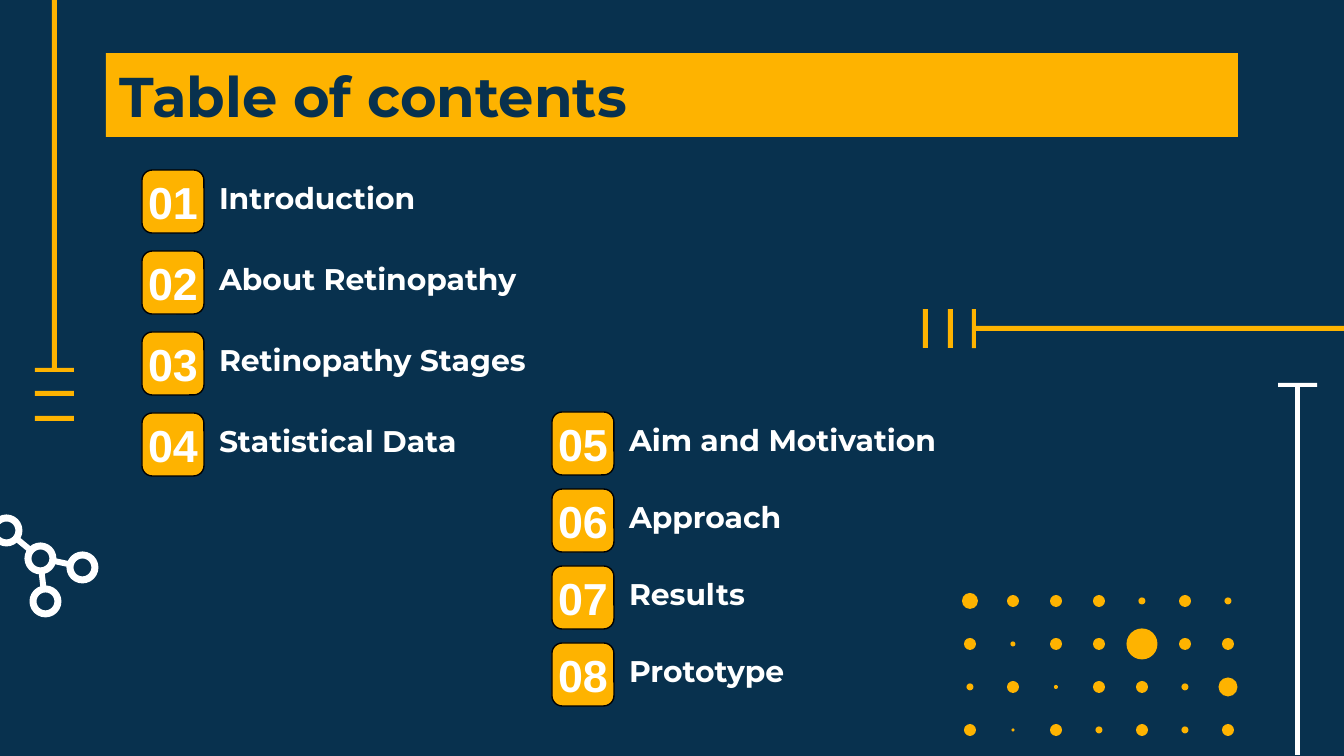
from lxml import etree
from pptx import Presentation
from pptx.dml.color import RGBColor
from pptx.enum.shapes import MSO_CONNECTOR, MSO_SHAPE
from pptx.enum.text import MSO_ANCHOR, MSO_AUTO_SIZE, PP_ALIGN
from pptx.oxml.ns import qn
from pptx.util import Pt

SCALE = 914400 / 134.4  # EMU in one px
RECTANGLE, ROUNDED, OVAL = MSO_SHAPE.RECTANGLE, MSO_SHAPE.ROUNDED_RECTANGLE, MSO_SHAPE.OVAL
STRAIGHT = MSO_CONNECTOR.STRAIGHT
TOP, MIDDLE = MSO_ANCHOR.TOP, MSO_ANCHOR.MIDDLE
LEFT, CENTER = PP_ALIGN.LEFT, PP_ALIGN.CENTER
NO_AUTOFIT = MSO_AUTO_SIZE.NONE

hex_colors = {"navy": "08314E", "amber": "FEB300", "white": "FFFFFF", "black": "000000"}
colors = {name: RGBColor.from_string(value) for name, value in hex_colors.items()}


def px(*lengths):
    return [round(length * SCALE) for length in lengths]


def write(shape, text, font, size, color, anchor, alignment, inset):
    frame = shape.text_frame
    frame.text = text
    frame.auto_size = NO_AUTOFIT
    frame.word_wrap = True
    frame.vertical_anchor = anchor
    frame.margin_left, frame.margin_top, frame.margin_right, frame.margin_bottom = px(*[inset] * 4)
    paragraph = frame.paragraphs[0]
    paragraph.alignment = alignment
    paragraph.space_before = Pt(0)
    properties = paragraph._p.get_or_add_pPr()
    properties.set("marL", "0")
    properties.set("indent", "0")
    etree.SubElement(properties, qn("a:buNone"))
    run = paragraph.runs[0]
    run.font.name, run.font.size, run.font.bold = font, Pt(size), True
    run.font.color.rgb = colors[color]


presentation = Presentation()
presentation.slide_width, presentation.slide_height = px(1344, 756)
slide = presentation.slides.add_slide(presentation.slide_layouts.get_by_name("Comparison"))
slide.background.fill.solid()
slide.background.fill.fore_color.rgb = colors["navy"]
shapes = slide.shapes
filled = []  # pairs of shape and fill colour

# T-shaped rails that run off the edges: corner of the cap, direction, colour
rail = [(0, 0), (0, 39), (4, 39), (4, 22), (372, 22), (372, 17), (4, 17), (4, 0)]
for x, y, direction, color in [
    (35, 372, "up", "amber"),
    (972, 309, "right", "amber"),
    (1278, 383, "down", "white"),
]:
    if direction == "right":
        points = [(x + along, y + across) for along, across in rail]
    else:
        sign = -1 if direction == "up" else 1
        points = [(x + across, y + sign * along) for along, across in rail]
    builder = shapes.build_freeform(*points[0], scale=SCALE)
    builder.add_line_segments(points[1:], close=True)
    filled.append((builder.convert_to_shape(), color))

# Loose bars beside the amber rails
for bar in [(35, 391, 39, 5), (35, 416, 39, 5), (923, 309, 5, 39), (948, 309, 5, 39)]:
    filled.append((shapes.add_shape(RECTANGLE, *px(*bar)), "amber"))

# Molecule: bonds first, then ring-shaped atoms over their ends
hub = (40, 558)
outer_atoms = [(6, 530), (82, 567), (45, 601)]
for atom in outer_atoms:
    bond = shapes.add_connector(STRAIGHT, *px(*hub, *atom))
    bond.line.color.rgb = colors["white"]
    bond.line.width = px(6)[0]
    etree.SubElement(bond._element.spPr, qn("a:effectLst"))
for x, y in [hub, *outer_atoms]:
    ring = shapes.add_shape(OVAL, *px(x - 12, y - 12, 25, 25))
    ring.fill.solid()
    ring.fill.fore_color.rgb = colors["navy"]
    ring.line.color.rgb = colors["white"]
    ring.line.width = px(7)[0]
    ring.shadow.inherit = False

# Dot grid, given by diameters
dot_rows = [
    (16, 12, 12, 12, 7, 12, 7),
    (12, 5, 12, 12, 31, 12, 12),
    (7, 12, 4, 12, 12, 7, 19),
    (12, 3, 12, 7, 12, 7, 12),
]
for row, diameters in enumerate(dot_rows):
    for column, diameter in enumerate(diameters):
        x = 970 + 43 * column - diameter / 2
        y = 601 + 43 * row - diameter / 2
        filled.append((shapes.add_shape(OVAL, *px(x, y, diameter, diameter)), "amber"))

for shape, color in filled:
    shape.fill.solid()
    shape.fill.fore_color.rgb = colors[color]
    shape.line.fill.background()
    shape.shadow.inherit = False

# Title banner
title = shapes.title
title.left, title.top, title.width, title.height = px(106, 53, 1132, 84)
title.fill.solid()
title.fill.fore_color.rgb = colors["amber"]
write(title, "Table of contents", "Montserrat", 30, "navy", MIDDLE, LEFT, 13)

# Numbered contents: left edge, first top, pitch, entries
contents = [
    (142, 170, 81, ["Introduction", "About Retinopathy", "Retinopathy Stages", "Statistical Data"]),
    (552, 412, 77, ["Aim and Motivation", "Approach", "Results", "Prototype"]),
]
body_placeholders = list(slide.placeholders)[1:]
number = 0
for x, first_y, pitch, entries in contents:
    for index, entry in enumerate(entries):
        number += 1
        y = first_y + pitch * index
        tile = shapes.add_shape(ROUNDED, *px(x, y, 62, 63))
        tile.fill.solid()
        tile.fill.fore_color.rgb = colors["amber"]
        tile.line.color.rgb = colors["black"]
        tile.line.width = Pt(0.75)
        tile.shadow.inherit = False
        write(tile, f"{number:02}", "Arial", 24, "white", MIDDLE, CENTER, 0)

        # Body placeholders serve the first entries, text boxes the rest
        box = px(x + 64, y - 3, 399, 63)
        if body_placeholders:
            label = body_placeholders.pop(0)
            label.left, label.top, label.width, label.height = box
        else:
            label = shapes.add_textbox(*box)
        write(label, entry, "Montserrat", 16, "white", TOP, LEFT, 13)

presentation.save("out.pptx")
